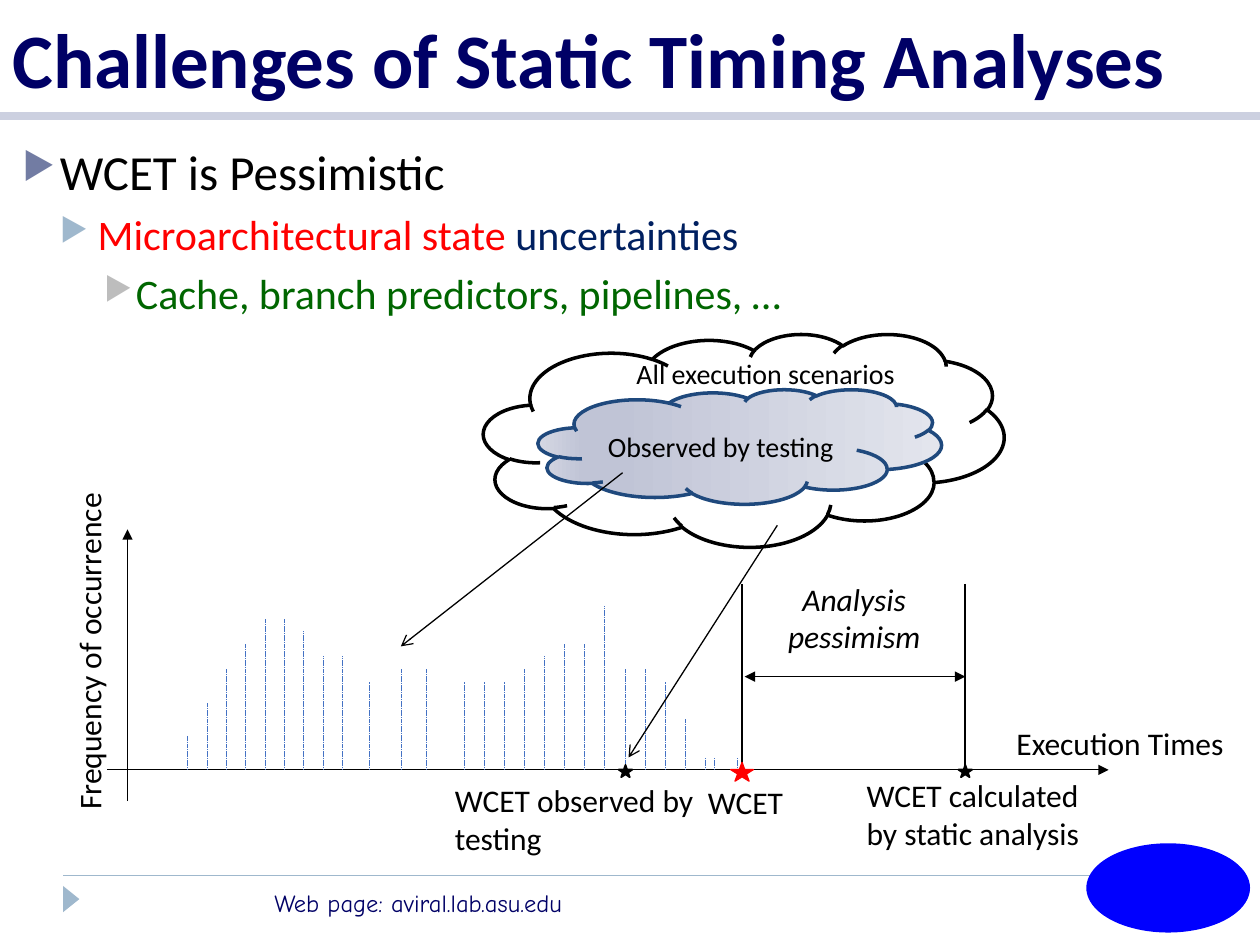
from dataclasses import dataclass

from lxml.etree import SubElement
from pptx import Presentation
from pptx.dml.color import RGBColor
from pptx.enum.dml import MSO_LINE
from pptx.enum.shapes import MSO_CONNECTOR, MSO_SHAPE
from pptx.enum.text import MSO_ANCHOR, PP_ALIGN
from pptx.oxml.ns import qn
from pptx.util import Cm, Pt


@dataclass(frozen=True)
class Theme:
    font: str = "Calibri"
    footer_font: str = "Comic Neue"
    black: str = "000000"
    navy: str = "000066"
    red: str = "FF0000"
    dark_blue: str = "002060"
    green: str = "006600"
    bar: str = "4472C4"
    cloud_edge: str = "1F497D"
    cloud_stops: tuple = ((0, "E3E5ED"), (81, "C0C4D6"), (89, "C0C4D6"), (100, "D5D8E3"))
    title_rule: str = "CCD0E0"
    footer_rule: str = "9FB8CD"
    mark: str = "0000FF"
    bullets: tuple = ("727CA3", "9FB8CD", "BDBDBD")
    title_size: int = 44
    bullet_sizes: tuple = (28, 24, 24)
    label_size: int = 18
    cloud_size: int = 16
    footer_size: int = 14


THEME = Theme()
AXIS_Y = 15.52
WCET_X, CALCULATED_X = 14.96, 19.46

# (first x, last x, bar heights), all in centimetres
BAR_GROUPS = (
    (3.78, 6.9, (0.69, 1.35, 2.03, 2.54, 3.05, 3.05, 2.79, 2.29, 2.29)),
    (7.44, 7.44, (1.78,)),
    (8.08, 8.59, (2.03, 2.03)),
    (9.35, 14.22, (1.78, 1.78, 1.78, 2.03, 2.29, 2.54, 2.54,
                   3.3, 2.03, 2.03, 1.78, 1.02, 0.25)),
    (14.4, 14.86, (0.25, 0.25)),
)


def rgb(color):
    return RGBColor.from_string(color)


def set_font(font, size, color, name=THEME.font, bold=False, italic=False):
    font.name, font.size = name, Pt(size)
    font.bold, font.italic = bold, italic
    font.color.rgb = rgb(color)


def add_line(slide, start, end, color, width, dash=None, head=None, tail=None):
    line = slide.shapes.add_connector(
        MSO_CONNECTOR.STRAIGHT, *(Cm(value) for value in (*start, *end)))
    line.line.color.rgb = rgb(color)
    line.line.width = Pt(width)
    if dash:
        line.line.dash_style = dash
    properties = line._element.spPr
    outline = line.line._get_or_add_ln()
    for tag, arrow in (("a:headEnd", head), ("a:tailEnd", tail)):
        if arrow:
            SubElement(outline, qn(tag), type=arrow)
    SubElement(properties, qn("a:effectLst"))


def add_shape(slide, kind, box, fill=None, line=None, width=1):
    shape = slide.shapes.add_shape(kind, *(Cm(value) for value in box))
    shape.shadow.inherit = False
    if fill:
        shape.fill.solid()
        shape.fill.fore_color.rgb = rgb(fill)
    else:
        shape.fill.background()
    if line:
        shape.line.color.rgb = rgb(line)
        shape.line.width = Pt(width)
    else:
        shape.line.fill.background()
    return shape


def set_gradient(shape, stops):
    """Fill the shape from right to left with (percent, colour) stops."""
    shape.fill.gradient()
    gradient = shape._element.spPr.find(qn("a:gradFill"))
    stop_list = gradient.find(qn("a:gsLst"))
    for old_stop in list(stop_list):
        stop_list.remove(old_stop)
    for percent, color in stops:
        stop = SubElement(stop_list, qn("a:gs"), pos=str(percent * 1000))
        SubElement(stop, qn("a:srgbClr"), val=color)
    direction = gradient.find(qn("a:lin"))
    direction.set("ang", str(180 * 60000))
    direction.set("scaled", "0")


def add_text(slide, box, lines, size=THEME.label_size, color=THEME.black,
             align=PP_ALIGN.LEFT, **font_options):
    shape = slide.shapes.add_textbox(*(Cm(value) for value in box))
    frame = shape.text_frame
    frame.word_wrap = True
    frame.text = lines
    for paragraph in frame.paragraphs:
        paragraph.alignment = align
        set_font(paragraph.font, size, color, **font_options)
    return shape


def add_bullet(paragraph, level, indent, hanging):
    paragraph.level = level
    properties = paragraph._p.get_or_add_pPr()
    properties.set("marL", str(Cm(indent)))
    properties.set("indent", str(-Cm(hanging)))
    color = SubElement(properties, qn("a:buClr"))
    SubElement(color, qn("a:srgbClr"), val=THEME.bullets[level])
    SubElement(properties, qn("a:buSzPct"), val="76000")
    SubElement(properties, qn("a:buChar"), char="▶")


def add_frame(slide):
    """Title, rules and footer."""
    add_line(slide, (1.27, 17.65), (22.02, 17.65), THEME.footer_rule, 1)
    add_line(slide, (0, 2.34), (25.4, 2.34), THEME.title_rule, 5)
    marker = add_shape(slide, MSO_SHAPE.ISOSCELES_TRIANGLE,
                       (1.17, 17.96, 0.53, 0.33), THEME.footer_rule)
    marker.rotation = 90
    add_text(slide, (5.28, 17.78, 9.53, 0.86), "Web page: aviral.lab.asu.edu",
             THEME.footer_size, THEME.navy, name=THEME.footer_font)
    add_shape(slide, MSO_SHAPE.OVAL, (21.9, 17, 3.3, 1.8), THEME.mark)
    title = add_text(slide, (0, 0, 25.4, 2.21), "Challenges of Static Timing Analyses",
                     THEME.title_size, THEME.navy, bold=True)
    title.text_frame.vertical_anchor = MSO_ANCHOR.BOTTOM


def add_bullets(slide):
    items = (
        (0.76, 0.76, (("WCET is Pessimistic", THEME.black),)),
        (1.52, 0.76, (("Microarchitectural state ", THEME.red),
                      ("uncertainties", THEME.dark_blue))),
        (2.29, 0.64, (("Cache, branch predictors, pipelines, …", THEME.green),)),
    )
    frame = add_text(slide, (0.2, 2.72, 22.86, 5.6), "").text_frame
    for level, (indent, hanging, runs) in enumerate(items):
        paragraph = frame.add_paragraph() if level else frame.paragraphs[0]
        if level:
            paragraph.space_before = Pt(5)
        add_bullet(paragraph, level, indent, hanging)
        set_font(paragraph.font, THEME.bullet_sizes[level], runs[0][1])
        for text, color in runs:
            run = paragraph.add_run()
            run.text = text
            set_font(run.font, THEME.bullet_sizes[level], color)


def add_histogram(slide):
    add_line(slide, (2.57, 16.15), (2.57, 10.67), THEME.black, 0.5, tail="triangle")
    add_line(slide, (2.16, AXIS_Y), (22.35, AXIS_Y), THEME.black, 0.5, tail="triangle")
    for first, last, heights in BAR_GROUPS:
        step = (last - first) / max(len(heights) - 1, 1)
        for index, height in enumerate(heights):
            x = first + index * step
            add_line(slide, (x, AXIS_Y), (x, AXIS_Y - height), THEME.bar, 0.25,
                     dash=MSO_LINE.SQUARE_DOT)
    add_text(slide, (20.24, 14.48, 5.16, 1.02), "Execution Times")
    frequency = add_text(slide, (-1.75, 12.42, 7.19, 1.12), "Frequency of occurrence")
    frequency.rotation = 270


def add_estimates(slide):
    """Markers, labels and the gap between true and calculated WCET."""
    for x in (WCET_X, CALCULATED_X):
        add_line(slide, (x, 11.77), (x, AXIS_Y), THEME.black, 1)
    add_line(slide, (CALCULATED_X, 13.64), (15.01, 13.64), THEME.black, 1,
             head="triangle", tail="triangle")
    for x in (12.61, CALCULATED_X):
        add_shape(slide, MSO_SHAPE.STAR_5_POINT, (x - 0.14, 15.42, 0.28, 0.25),
                  THEME.black, THEME.black)
    add_shape(slide, MSO_SHAPE.STAR_5_POINT, (WCET_X - 0.23, 15.37, 0.46, 0.38),
              THEME.red, THEME.red, 0.75)
    add_text(slide, (8.92, 15.62, 5.41, 1.8), "WCET observed by testing")
    add_text(slide, (14.02, 15.67, 2.44, 1.02), "WCET")
    add_text(slide, (17.22, 15.52, 5.56, 1.8), "WCET calculated\nby static analysis")
    add_text(slide, (15.19, 11.56, 4.06, 1.8), "Analysis pessimism",
             align=PP_ALIGN.CENTER, italic=True)


def add_scenarios(slide):
    add_text(slide, (11.89, 7.06, 7.09, 0.81), "All execution scenarios",
             THEME.cloud_size, align=PP_ALIGN.CENTER)
    add_shape(slide, MSO_SHAPE.CLOUD, (9.75, 6.73, 10.49, 4.29), line=THEME.black, width=2)
    observed = add_shape(slide, MSO_SHAPE.CLOUD, (10.85, 7.85, 8.13, 2.31),
                         line=THEME.cloud_edge, width=2)
    set_gradient(observed, THEME.cloud_stops)
    add_text(slide, (11.48, 8.53, 6.1, 0.81), "Observed by testing",
             THEME.cloud_size, align=PP_ALIGN.CENTER)
    for start, end in (((15.67, 10.59), (12.67, 15.27)), ((12.55, 9.53), (8.08, 13.03))):
        add_line(slide, start, end, THEME.black, 0.75, tail="arrow")


def main():
    presentation = Presentation()
    presentation.slide_width, presentation.slide_height = Cm(25.4), Cm(19.05)
    slide = presentation.slides.add_slide(presentation.slide_layouts[6])
    add_frame(slide)
    add_bullets(slide)
    add_histogram(slide)
    add_estimates(slide)
    add_scenarios(slide)
    presentation.save("out.pptx")


if __name__ == "__main__":
    main()
